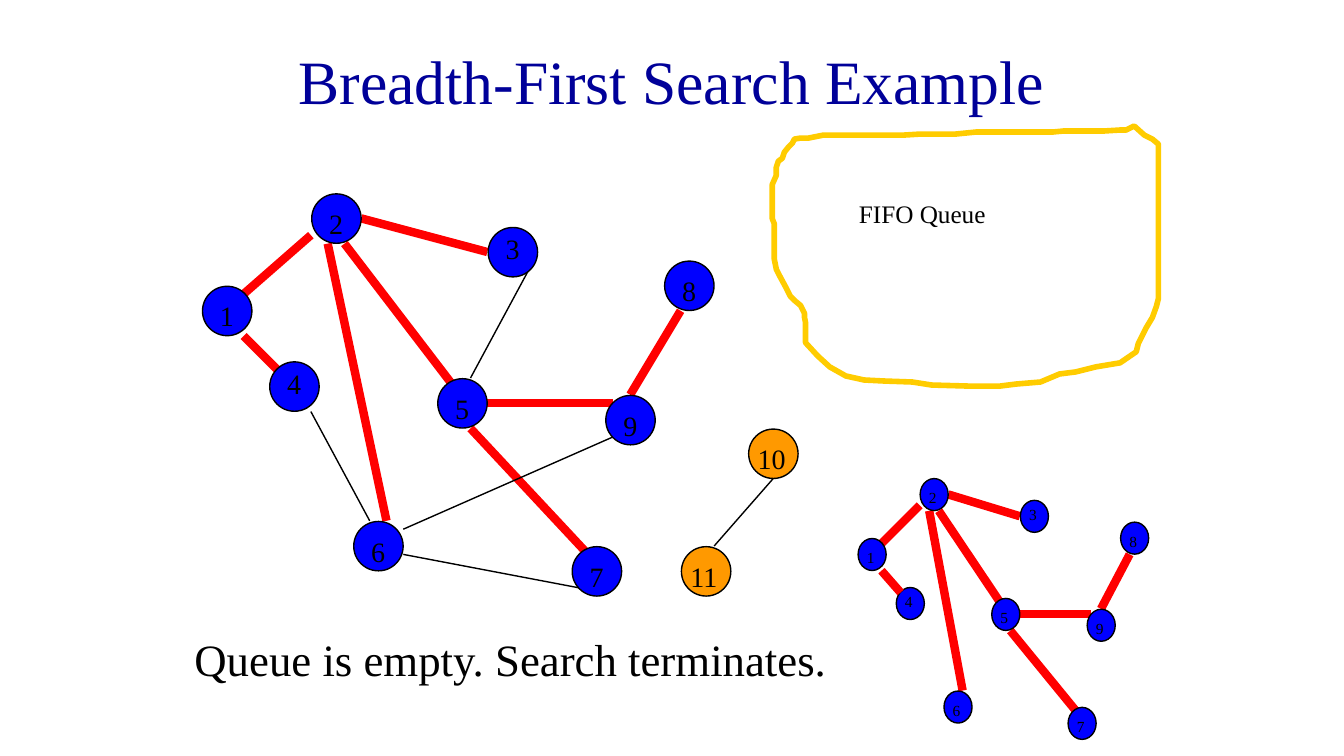
from lxml import etree
from pptx import Presentation, util as u
from pptx.dml.color import RGBColor
from pptx.enum import shapes, text
from pptx.oxml.ns import qn

# Content
TITLE = "Breadth-First Search Example"
STATUS = "Queue is empty. Search terminates."
QUEUE = "FIFO Queue"
FONT = "Times New Roman"
COLORS = {"title": "000099", "text": "000000", "line": "000000", "tree": "FF0000",
          "visited": "0000FF", "unreached": "FF9900", "queue": "FFCC00"}

# Graph grid: 12 columns and 12 rows per inch
GRID = 12
NODE_SIZE = 0.49
# node: (column, row, label column offset, label row offset)
VISITED = {
    1: (24, 34, 1, 1), 2: (37, 23, 1, 1), 4: (32, 43, 1, 0),
    5: (52, 45, 1, 1), 3: (58, 27, 1, 0), 6: (42, 62, 1, 1),
    9: (72, 47, 1, 1), 7: (68, 65, 1, 1), 8: (79, 31, 1, 1),
}
UNREACHED = {10: (89, 51, 0, 1), 11: (81, 65, 0, 1)}
# (from, to): (start column, start row, end column, end row)
TREE = {
    (1, 2): (37, 28, 29, 35), (2, 5): (41, 29, 54, 46), (1, 4): (29, 40, 33, 44),
    (5, 7): (56, 51, 70, 66), (8, 9): (81, 37, 75, 47), (5, 9): (58, 48, 73, 48),
    (2, 3): (43, 26, 58, 30), (2, 6): (39, 29, 46, 62),
}
OTHER = {
    (4, 6): (37, 49, 44, 62), (6, 7): (48, 66, 69, 70), (3, 5): (63, 32, 56, 45),
    (10, 11): (85, 65, 92, 57), (6, 9): (48, 63, 73, 52),
}
# View: left, top, horizontal scale, vertical scale, label size
FULL = (0, 0, 1, 1, 20)
SMALL = (7.37, 3.5, 0.568, 0.6486, 11)

# Queue outline in hundredths of an inch
OUTLINE = [
    (1125, 125), (1117, 129), (1111, 129), (1095, 130), (1055, 130), (1044, 131),
    (968, 131), (948, 133), (913, 133), (897, 134), (817, 134), (802, 137),
    (794, 137), (788, 138), (786, 142), (782, 146), (778, 151), (776, 157),
    (772, 160), (770, 166), (770, 174), (766, 183), (766, 217), (768, 222),
    (768, 257), (770, 267), (774, 275), (780, 286), (784, 294), (788, 298),
    (794, 303), (798, 311), (798, 315), (799, 320), (799, 340), (811, 353),
    (823, 364), (839, 373), (857, 377), (877, 378), (905, 379), (924, 382),
    (960, 383), (992, 383), (1008, 381), (1032, 379), (1051, 371), (1067, 369),
    (1087, 364), (1111, 360), (1127, 349), (1129, 341), (1133, 333), (1137, 325),
    (1143, 315), (1147, 304), (1149, 296), (1149, 143), (1143, 138), (1135, 134),
]

deck = Presentation()
deck.slide_width, deck.slide_height = u.Inches(13.33), u.Inches(7.5)
page = deck.slides.add_slide(deck.slide_layouts[5])


def rgb(name):
    return RGBColor.from_string(COLORS[name])


def write(box, words, size, color="text"):
    frame = box.text_frame
    frame.text = words
    frame.word_wrap = True
    font = frame.paragraphs[0].runs[0].font
    font.name, font.size, font.color.rgb = FONT, u.Pt(size), rgb(color)


def label(parts, words, size, left, top, width, height):
    box = parts.add_textbox(*map(u.Inches, (left, top, width, height)))
    write(box, words, size)
    return box


def locate(view, column, row):
    left, top, across, down, _ = view
    return left + column / GRID * across, top + row / GRID * down


def draw_edge(parts, view, ends, color, width):
    points = locate(view, *ends[:2]) + locate(view, *ends[2:])
    edge = parts.add_connector(shapes.MSO_CONNECTOR.STRAIGHT, *map(u.Inches, points))
    edge.line.color.rgb, edge.line.width = rgb(color), u.Pt(width)
    properties = edge._element.find(qn("p:spPr"))
    etree.SubElement(properties, qn("a:effectLst"))


def draw_node(parts, view, number, spot, color):
    column, row, label_column, label_row = spot
    _, _, across, down, size = view
    corner = locate(view, column + 0.1, row + 0.08)
    circle = parts.add_shape(
        shapes.MSO_SHAPE.OVAL, *map(u.Inches, corner),
        u.Inches(NODE_SIZE * across), u.Inches(NODE_SIZE * down))
    circle.shadow.inherit = False
    circle.fill.solid()
    circle.fill.fore_color.rgb = rgb(color)
    circle.line.color.rgb, circle.line.width = rgb("line"), u.Pt(1)
    width = 0.25 if number < 10 else 0.5
    corner = locate(view, column + label_column, row + label_row)
    box = label(parts, str(number), size, *corner, width * across, 0.44 * down)
    box.text_frame.auto_size = text.MSO_AUTO_SIZE.SHAPE_TO_FIT_TEXT


# Title and status
title = page.shapes.title
title.left, title.top, title.width, title.height = map(u.Inches, (1, 0.17, 11.33, 1.25))
write(title, TITLE, 44, "title")
title.text_frame.vertical_anchor = text.MSO_ANCHOR.MIDDLE
title.text_frame.paragraphs[0].alignment = text.PP_ALIGN.CENTER
label(page.shapes, STATUS, 32, 1.83, 6.22, 9.83, 0.78)

# Queue
label(page.shapes, QUEUE, 18, 8.42, 1.92, 3.08, 0.86)
builder = page.shapes.build_freeform(*OUTLINE[0], scale=u.Inches(0.01))
builder.add_line_segments(OUTLINE[1:], close=True)
queue = builder.convert_to_shape()
queue.shadow.inherit = False
queue.fill.background()
queue.line.color.rgb, queue.line.width = rgb("queue"), u.Pt(4)

# Full graph
for ends in TREE.values():
    draw_edge(page.shapes, FULL, ends, "tree", 6)
for ends in OTHER.values():
    draw_edge(page.shapes, FULL, ends, "line", 1)
for nodes, color in ((UNREACHED, "unreached"), (VISITED, "visited")):
    for number, spot in nodes.items():
        draw_node(page.shapes.add_group_shape().shapes, FULL, number, spot, color)

# Small search tree, with edge 1-4 in front of its nodes
tree = page.shapes.add_group_shape().shapes
front = (1, 4)
for pair, ends in TREE.items():
    if pair != front:
        draw_edge(tree, SMALL, ends, "tree", 6)
for number, spot in VISITED.items():
    draw_node(tree, SMALL, number, spot, "visited")
draw_edge(tree, SMALL, TREE[front], "tree", 6)

deck.save("out.pptx")
